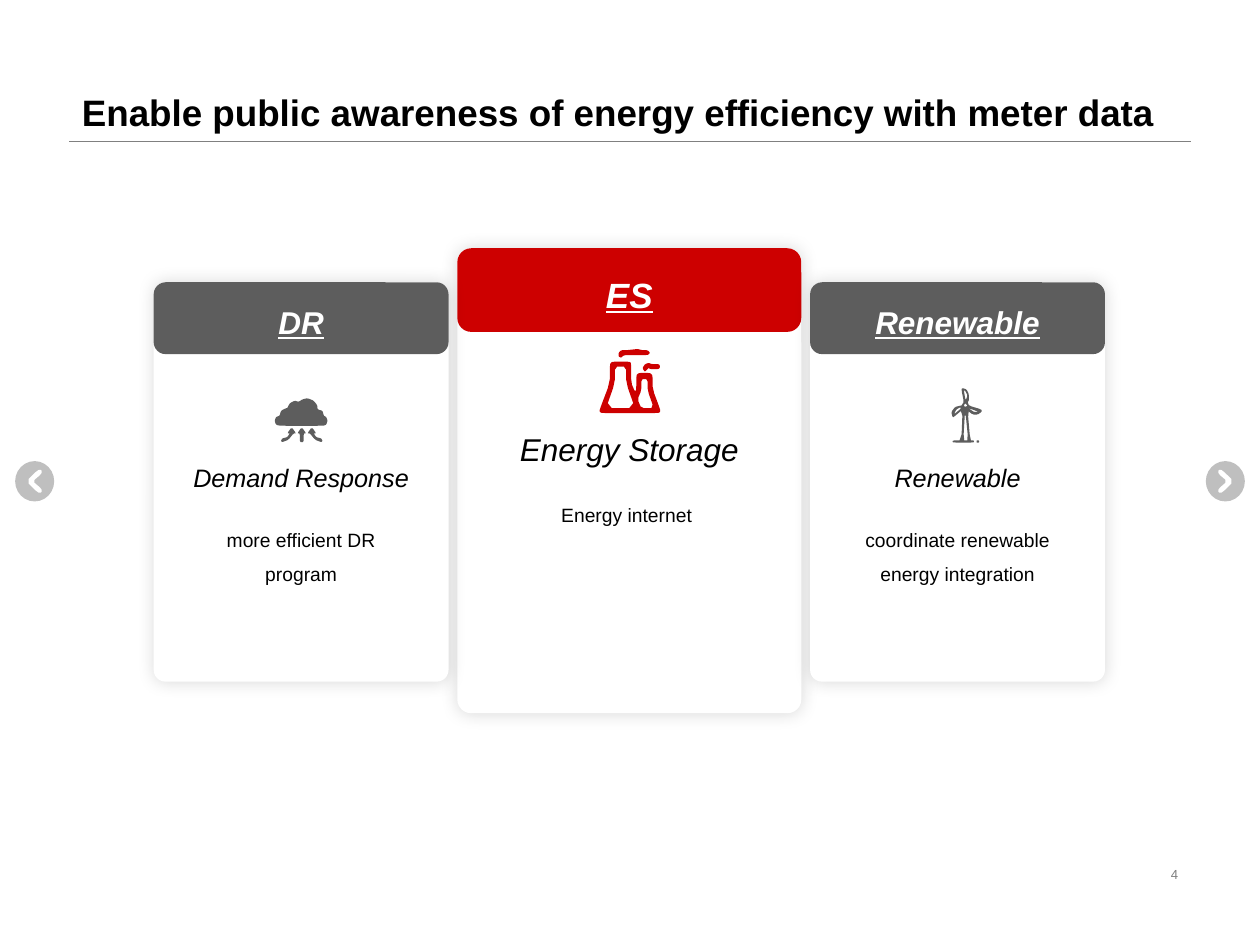
from lxml.etree import SubElement
from pptx import Presentation
from pptx.dml.color import RGBColor
from pptx.enum.shapes import MSO_CONNECTOR as Connector, MSO_SHAPE as Shape
from pptx.enum.text import MSO_ANCHOR as Anchor, MSO_AUTO_SIZE as AutoSize, PP_ALIGN as Align
from pptx.oxml.ns import qn
from pptx.util import Inches, Pt

FONT = "Arial"
RED, GRAY, WHITE, BLACK = "CD0000", "5D5D5D", "FFFFFF", "000000"
RULE, ARROW = "808080", "BFBFBF"
COLUMNS, ROWS = 100, 75
FINE = 10

CHEVRON = [[(33, 376), (26, 382), (33, 388), (33, 391), (30, 391),
            (21, 382), (30, 373), (33, 373)]]

PLANT = [
    [(486, 287), (500, 287), (501, 289), (501, 304), (504, 311), (505, 309), (505, 298),
     (507, 296), (516, 296), (518, 298), (518, 309), (524, 325), (524, 327), (522, 328),
     (478, 328), (476, 327), (476, 325), (484, 304), (484, 289)],
    [(488, 291), (488, 304), (481, 324), (504, 324), (497, 304), (497, 291)],
    [(509, 301), (509, 310), (506, 317), (509, 324), (519, 324), (514, 310), (514, 301)],
    [(506, 277), (510, 278), (514, 278), (516, 280), (514, 282), (501, 282), (495, 282),
     (493, 284), (491, 283), (491, 280), (493, 278), (497, 278)],
    [(515, 288), (517, 289), (523, 289), (524, 291), (523, 293), (516, 293), (515, 292),
     (514, 293), (512, 295), (511, 294), (510, 292), (512, 289)],
]

TURBINE = [
    [(764, 308), (767, 309), (769, 313), (769, 318), (768, 319), (769, 322), (779, 325),
     (779, 327), (776, 329), (772, 329), (768, 326), (770, 349.6), (773, 349.6),
     (773, 351.3), (756, 351.3), (756, 349.6), (763, 349.6), (764, 325), (757, 331),
     (756, 331), (755, 327), (758, 323), (762, 322), (763, 322), (765, 319), (763, 309)],
    [(766, 325), (764.5, 349.6), (768.5, 349.6)],
    [(769, 324), (770, 325), (773, 327), (777, 327)],
    [(762, 323.3), (759, 325), (757, 329), (763, 324)],
    [(766, 320), (765, 322), (766, 323), (768, 322)],
    [(765, 310), (766.3, 318), (768, 314), (766, 310)],
    [(775, 349.6), (777, 349.6), (777, 351.3), (775, 351.3)],
]

CLOUD = [(222, 338), (219, 337), (218, 334), (219, 331), (222, 330), (223, 326), (227, 324),
         (228, 324), (230, 320), (234, 318), (237, 319), (240, 317), (244, 316), (249, 318),
         (252, 322), (252, 325), (256, 326), (257, 330), (259, 331), (260, 334), (259, 337),
         (257, 338)]
STRAIGHT_ARROW = [(239.5, 339), (243, 344), (241, 344), (241, 351), (238, 351),
                  (238, 344), (236, 344)]
BENT_ARROW = [(247.5, 339), (251, 344), (249, 344), (251, 347), (255, 348), (256, 350),
              (255, 351), (250, 349), (246, 344), (244, 344)]


def color(hex_code):
    return RGBColor.from_string(hex_code)


def mirror(contour, double_axis):
    return [(double_axis - x, y) for x, y in contour]


def soften(contour):
    softened = []
    for (x1, y1), (x2, y2) in zip(contour, contour[1:] + contour[:1]):
        softened += [(x1 + (x2 - x1) * share, y1 + (y2 - y1) * share) for share in (0.2, 0.8)]
    return softened


class Deck:
    def __init__(self):
        self.prs = Presentation()
        self.prs.slide_width, self.prs.slide_height = Inches(10), Inches(7.5)
        self.slide = self.prs.slides.add_slide(self.prs.slide_layouts[5])
        self.shapes = self.slide.shapes

    def x(self, columns):
        return round(self.prs.slide_width * columns / COLUMNS)

    def y(self, rows):
        return round(self.prs.slide_height * rows / ROWS)

    def box(self, left, top, width, height):
        return self.x(left), self.y(top), self.x(width), self.y(height)

    def fill_text(self, holder, words, size, hex_code, align=Align.CENTER, anchor=Anchor.MIDDLE,
                  spacing=1.0, inset=0.1, bold=False, italic=False, underline=False):
        frame = holder.text_frame
        frame.word_wrap = True
        frame.auto_size = AutoSize.NONE
        frame.vertical_anchor = anchor
        frame.margin_left = frame.margin_right = Inches(inset)
        line = frame.paragraphs[0]
        line.alignment, line.line_spacing = align, spacing
        run = line.add_run()
        run.text = words
        font = run.font
        font.name, font.size, font.color.rgb = FONT, Pt(size), color(hex_code)
        font.bold, font.italic, font.underline = bold, italic, underline

    def title(self, words, *box):
        heading = self.shapes.title
        heading.left, heading.top, heading.width, heading.height = self.box(*box)
        self.fill_text(heading, words, 21, BLACK, Align.LEFT, Anchor.BOTTOM, 0.9, bold=True)

    def text(self, box, words, size, hex_code=BLACK, **style):
        self.fill_text(self.shapes.add_textbox(*self.box(*box)), words, size, hex_code, **style)

    def rule(self, left, right, row):
        line = self.shapes.add_connector(Connector.STRAIGHT, self.x(left), self.y(row),
                                         self.x(right), self.y(row))
        line.line.color.rgb, line.line.width = color(RULE), Pt(0.25)
        SubElement(line._element.spPr, qn("a:effectLst"))

    def paint(self, shape, hex_code):
        shape.shadow.inherit = False
        shape.fill.solid()
        shape.fill.fore_color.rgb = color(hex_code)
        shape.line.fill.background()
        return shape

    def shape(self, kind, box, hex_code):
        return self.paint(self.shapes.add_shape(kind, *self.box(*box)), hex_code)

    def glow(self, shape):
        effects = shape._element.spPr.find(qn("a:effectLst"))
        shadow = SubElement(effects, qn("a:outerShdw"), blurRad=str(Pt(10)), dist="0",
                            algn="ctr", rotWithShape="0")
        tint = SubElement(shadow, qn("a:srgbClr"), val=BLACK)
        SubElement(tint, qn("a:alpha"), val="15000")

    def icon(self, contours, hex_code):
        builder = None
        for contour in contours:
            points = [(self.x(x / FINE), self.y(y / FINE)) for x, y in soften(contour)]
            if builder is None:
                builder = self.shapes.build_freeform(*points[0])
            else:
                builder.move_to(*points[0])
            builder.add_line_segments(points[1:], close=True)
        self.paint(builder.convert_to_shape(), hex_code)

    def arrow(self, left, contours):
        self.shape(Shape.FLOWCHART_CONNECTOR, (left, 36.6, 3.1, 3.2), ARROW)
        self.icon(contours, WHITE)

    def card(self, box, accent, header, name, note, icon, header_size, name_size,
             name_box, note_box, spacing):
        left, top, width, height = box
        panel = self.shape(Shape.ROUNDED_RECTANGLE, box, WHITE)
        panel.adjustments[0] = 0.04
        self.glow(panel)
        band = self.shape(Shape.ROUNDED_RECTANGLE, (left, top, width, height * 0.18), accent)
        self.fill_text(band, header, header_size, WHITE, spacing=1.2,
                       bold=True, italic=True, underline=True)
        self.icon(icon, accent)
        inner, inner_width = left + width * 0.08, width * 0.84
        self.text((inner, name_box[0], inner_width, name_box[1]), name, name_size, italic=True)
        self.text((inner, note_box[0], inner_width, note_box[1]), note, 11,
                  anchor=Anchor.TOP, spacing=spacing, inset=0.15)


def main():
    deck = Deck()
    deck.rule(5.5, 94.5, 11.2)
    deck.title("Enable public awareness of energy efficiency with meter data", 5.5, 0, 89, 11.2)
    deck.text((70.6, 68.2, 23.9, 2.3), "4", 7.5, RULE, align=Align.RIGHT)

    deck.arrow(1.2, CHEVRON)
    deck.arrow(95.7, [mirror(CHEVRON[0], COLUMNS * FINE)])

    cloud = [soften(CLOUD), STRAIGHT_ARROW, BENT_ARROW, mirror(BENT_ARROW, 479)]
    main_style = dict(header_size=20, name_size=18, name_box=(33.7, 3.9),
                      note_box=(38.7, 9), spacing=1.4)
    side_style = dict(header_size=18, name_size=14.4, name_box=(36.2, 3.4),
                      note_box=(40.5, 8.3), spacing=1.5)
    deck.card((36.3, 19.7, 27.3, 36.9), RED, "ES", "Energy Storage", "Energy internet ",
              PLANT, **main_style)
    sides = [(12.2, "DR", "Demand Response", "more efficient DR program", cloud),
             (64.3, "Renewable", "Renewable", "coordinate renewable energy integration", TURBINE)]
    for left, *content in sides:
        deck.card((left, 22.4, 23.4, 31.7), GRAY, *content, **side_style)

    deck.prs.save("out.pptx")


if __name__ == "__main__":
    main()
